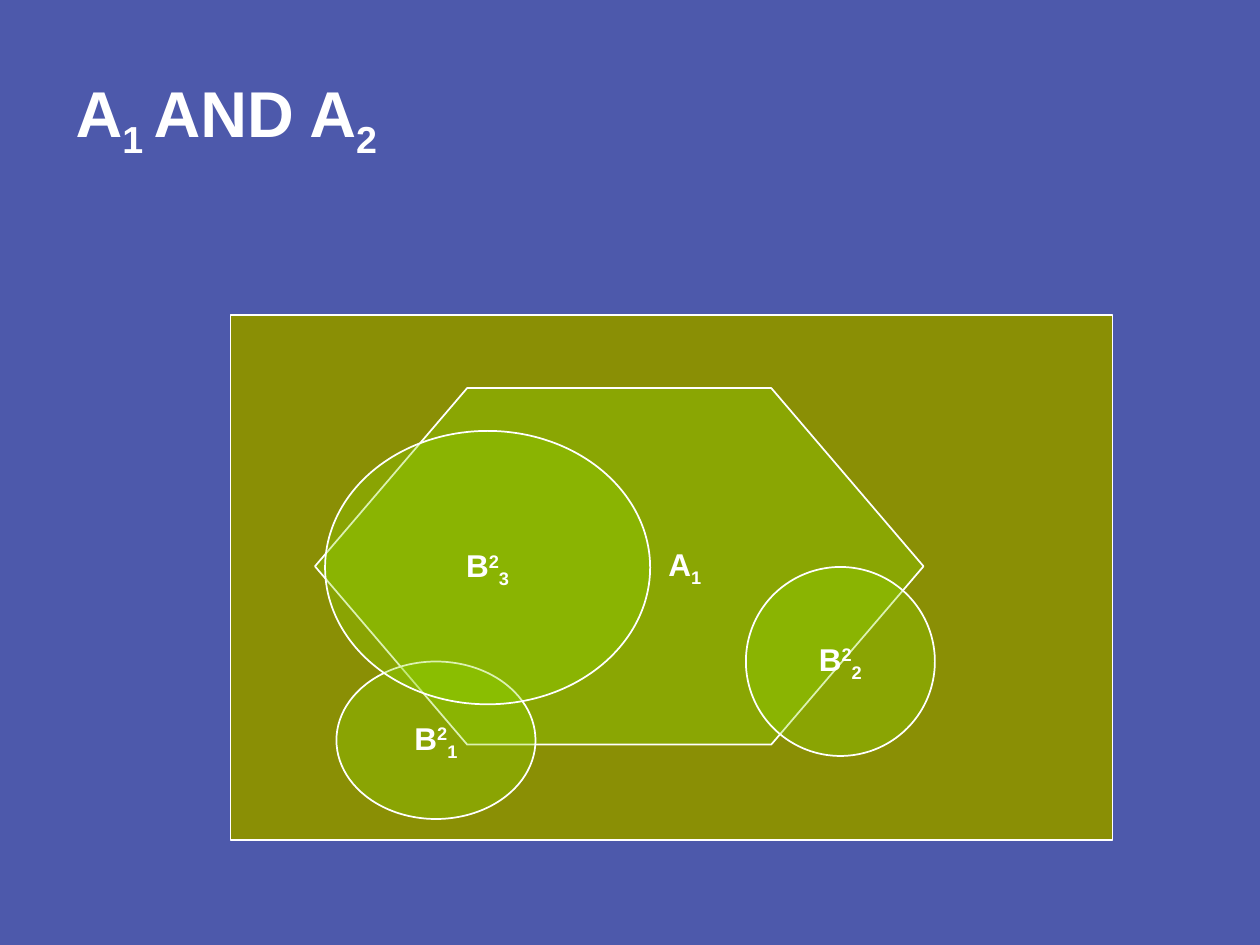
from lxml.etree import SubElement
from pptx import Presentation
from pptx.dml.color import RGBColor
from pptx.enum.shapes import MSO_SHAPE
from pptx.enum.text import MSO_ANCHOR, MSO_AUTO_SIZE, PP_ALIGN
from pptx.oxml.ns import qn
from pptx.util import Inches, Pt


def color(hex_string):
    return RGBColor.from_string(hex_string)


class SetDiagram:
    font_name = "Arial"
    white = "FFFFFF"
    green = "8DD600"
    olive = "8A8F05"
    background = "4D59AB"
    superscript = 30
    subscript = -25

    def __init__(self, presentation):
        self.slide = presentation.slides.add_slide(presentation.slide_layouts[5])
        fill = self.slide.background.fill
        fill.solid()
        fill.fore_color.rgb = color(self.background)

    def add_runs(self, paragraph, runs, size, shadow=False):
        for text, baseline in runs:
            run = paragraph.add_run()
            run.text = text
            run.font.size = Pt(size)
            run.font.bold = True
            run.font.color.rgb = color(self.white)
            properties = run._r.get_or_add_rPr()
            if baseline:
                properties.set("baseline", str(baseline * 1000))
            if shadow:
                self.add_text_shadow(properties)
            run.font.name = self.font_name

    def add_text_shadow(self, properties):
        effects = SubElement(properties, qn("a:effectLst"))
        shadow = SubElement(effects, qn("a:outerShdw"), dist="25400", dir="2700000")
        SubElement(shadow, qn("a:srgbClr"), val="808080")

    def title(self, left, top, width, height, runs):
        shape = self.slide.shapes.title
        shape.left, shape.top = Inches(left), Inches(top)
        shape.width, shape.height = Inches(width), Inches(height)
        frame = shape.text_frame
        frame.auto_size = MSO_AUTO_SIZE.NONE
        frame.vertical_anchor = MSO_ANCHOR.MIDDLE
        paragraph = frame.paragraphs[0]
        paragraph.alignment = PP_ALIGN.LEFT
        self.add_runs(paragraph, runs, 37, shadow=True)

    def region(self, kind, left, top, width, height, fill, opacity=100):
        shape = self.slide.shapes.add_shape(
            kind, Inches(left), Inches(top), Inches(width), Inches(height)
        )
        shape.shadow.inherit = False
        shape.fill.solid()
        shape.fill.fore_color.rgb = color(fill)
        if opacity < 100:
            fill_color = shape._element.spPr.find(qn("a:solidFill"))[0]
            SubElement(fill_color, qn("a:alpha"), val=str(opacity * 1000))
        shape.line.color.rgb = color(self.white)
        shape.line.width = Pt(1)
        return shape

    def label(self, shape, runs, shift=0):
        frame = shape.text_frame
        frame.word_wrap = False
        frame.vertical_anchor = MSO_ANCHOR.MIDDLE
        frame.margin_left = Inches(0.1 + 2 * shift)
        paragraph = frame.paragraphs[0]
        paragraph.alignment = PP_ALIGN.CENTER
        self.add_runs(paragraph, runs, 18)

    def ellipse(self, left, top, width, height, index):
        shape = self.region(MSO_SHAPE.OVAL, left, top, width, height, self.green, 30)
        runs = [("B", 0), ("2", self.superscript), (index, self.subscript)]
        self.label(shape, runs)

    def hexagon(self, left, top, width, height):
        shape = self.region(MSO_SHAPE.HEXAGON, left, top, width, height, self.green, 33)
        shape.adjustments[0] = 0.427
        shape.adjustments[1] = 1.155
        self.label(shape, [("A", 0), ("1", self.subscript)], shift=0.52)


def main():
    presentation = Presentation()
    presentation.slide_width = Inches(10)
    presentation.slide_height = Inches(7.5)
    diagram = SetDiagram(presentation)
    subscript = diagram.subscript
    diagram.title(
        0.5, 0.3, 7, 1.25,
        [("A", 0), ("1 ", subscript), ("AND A", 0), ("2", subscript)],
    )
    diagram.region(MSO_SHAPE.RECTANGLE, 1.83, 2.5, 7, 4.17, diagram.olive)
    diagram.hexagon(2.5, 3.08, 4.83, 2.83)
    diagram.ellipse(2.67, 5.25, 1.58, 1.25, "1")
    diagram.ellipse(5.92, 4.5, 1.5, 1.5, "2")
    diagram.ellipse(2.58, 3.42, 2.58, 2.17, "3")
    presentation.save("out.pptx")


if __name__ == "__main__":
    main()
